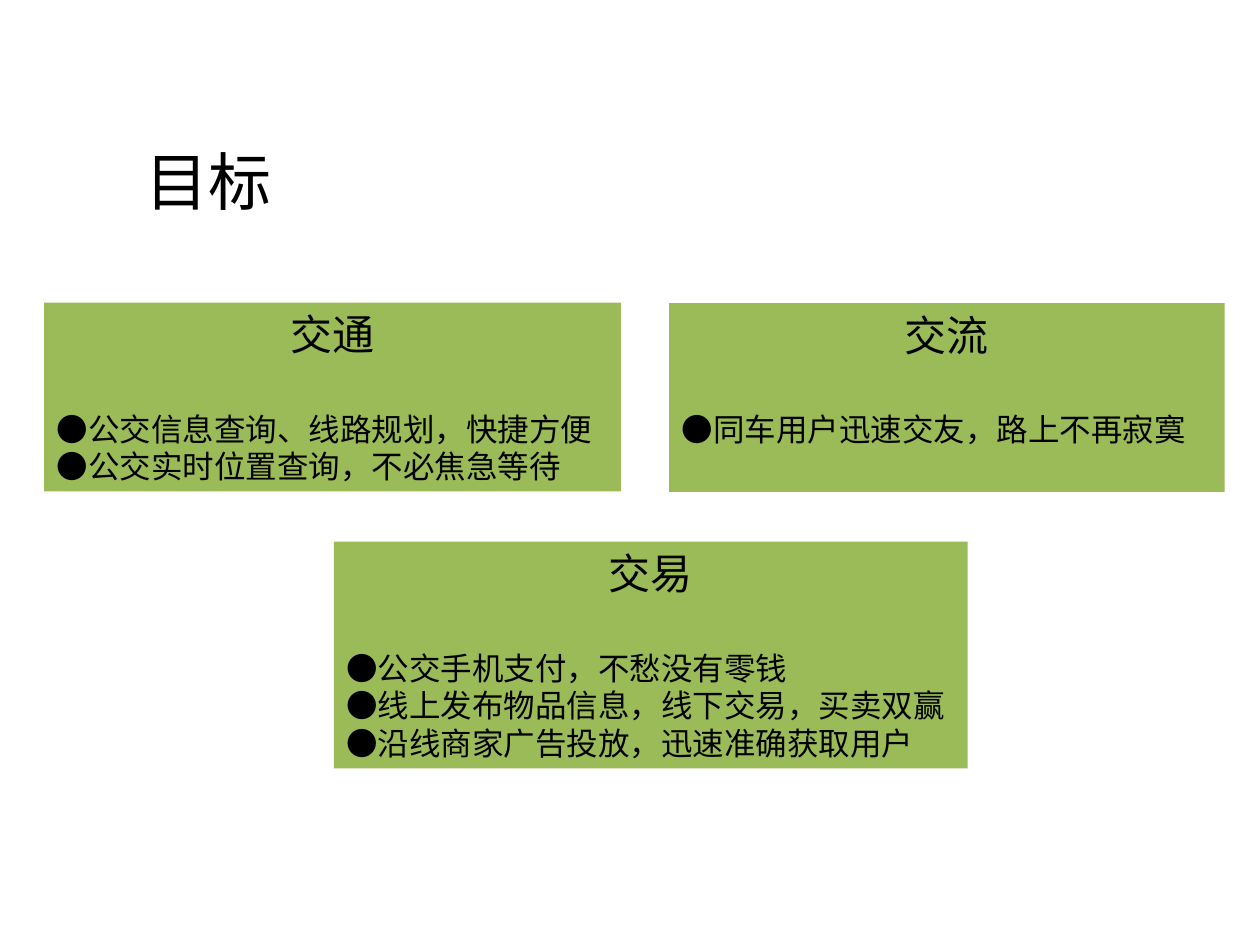
from pptx import Presentation
from pptx.dml.color import RGBColor
from pptx.enum.shapes import MSO_SHAPE as Shape
from pptx.enum.text import MSO_ANCHOR as Anchor, PP_ALIGN as Align
from pptx.util import Cm, Pt


def paint(part, hue):
    part.rgb = RGBColor.from_string(hue)


def write(para, text, size, face, align=Align.LEFT):
    para.text = text
    para.alignment = align
    para.font.size = Pt(size)
    para.font.name = face
    paint(para.font.color, "000000")


deck = Presentation()
deck.slide_width, deck.slide_height = Cm(25.4), Cm(19.05)
slide = deck.slides.add_slide(deck.slide_layouts[6])

# Title
title = slide.shapes.add_textbox(Cm(2.69), Cm(2.74), Cm(5.92), Cm(1.78))
title.text_frame.word_wrap = True
write(title.text_frame.paragraphs[0], "目标", 36, "Noto Sans CJK SC")

# Goals: left, top, width, height, heading, points
goals = [
    (0.89, 6.1, 11.63, 3.81, "交通",
     ["公交信息查询、线路规划，快捷方便", "公交实时位置查询，不必焦急等待"]),
    (13.49, 6.11, 11.2, 3.81, "交流",
     ["同车用户迅速交友，路上不再寂寞"]),
    (6.73, 10.92, 12.78, 4.57, "交易",
     ["公交手机支付，不愁没有零钱", "线上发布物品信息，线下交易，买卖双赢",
      "沿线商家广告投放，迅速准确获取用户"]),
]

# Goal boxes
for *place, head, points in goals:
    box = slide.shapes.add_shape(Shape.RECTANGLE, *map(Cm, place))
    box.shadow.inherit = False
    box.fill.solid()
    paint(box.fill.fore_color, "9BBB59")
    box.line.fill.background()

    frame = box.text_frame
    frame.word_wrap = True
    frame.vertical_anchor = Anchor.TOP
    write(frame.paragraphs[0], head, 24, "Noto Sans CJK JP", Align.CENTER)
    for i, point in enumerate(points):
        para = frame.add_paragraph()
        write(para, "●" + point, 18, "Arial")
        if i == 0:
            para.space_before = Pt(28.8)

deck.save("out.pptx")
